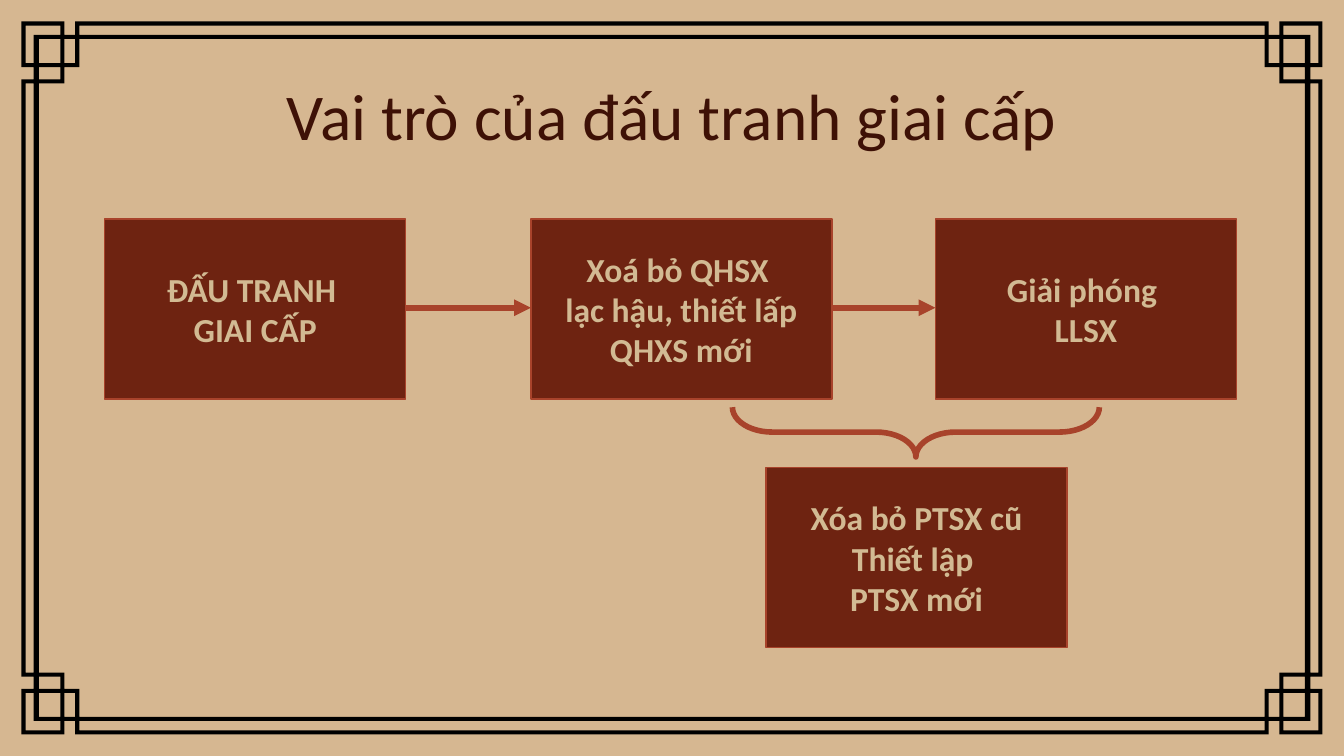
from lxml import etree
from pptx import Presentation
from pptx.dml.color import RGBColor
from pptx.enum import shapes, text
from pptx.oxml import ns
from pptx.util import Inches, Pt

TITLE = "Vai trò của đấu tranh giai cấp"
BOXES = [
    (0.78, 1.63, ["ĐẤU TRANH ", "GIAI CẤP"]),
    (3.95, 1.63, ["Xoá bỏ QHSX ", "lạc hậu, thiết lấp QHXS mới"]),
    (6.96, 1.63, ["Giải phóng ", "LLSX"]),
    (5.7, 3.48, ["Xóa bỏ PTSX cũ", "Thiết lập ", "PTSX mới"]),
]
LINKS = [(0, 1), (1, 2)]
BOX_W, BOX_H = 2.24, 1.34
LINK_Y = 2.29
WIDE = 10
HIGH = WIDE * 9 / 16

THEME = {
    "font": "Calibri", "title": 35, "body": 18,
    "back": "D6B791", "frame": "000000", "head": "3E1106",
    "box": "6E2311", "line": "A8432B", "label": "D2BA93",
    "thin": 0.75, "thick": 3,
}

OUTER = [(0.56, 0.16), (0.56, 0.26), (0.48, 0.26), (0.48, 0.16), (0.16, 0.16),
         (0.16, 0.5), (0.25, 0.5), (0.25, 0.59), (0.16, 0.59)]
INNER = [(0.59, 0.29), (0.59, 0.5), (0.48, 0.5), (0.48, 0.62), (0.29, 0.62)]
ELBOW = [(0.45, 0.19), (0.45, 0.26), (0.25, 0.26),
         (0.25, 0.47), (0.19, 0.47), (0.19, 0.19)]
CELLS = [(0.29, 0.29, 0.45, 0.47), (0.48, 0.29, 0.56, 0.47),
         (0.29, 0.5, 0.45, 0.59)]
TOP = (0.59, 0.19, WIDE - 0.59, 0.26)
LEFT = (0.19, 0.62, 0.25, HIGH - 0.62)


def color(key):
    return RGBColor.from_string(THEME[key])


def flip_x(path):
    return [(WIDE - x, y) for x, y in path]


def flip_y(path):
    return [(x, HIGH - y) for x, y in path]


def rect(x1, y1, x2, y2):
    return [(x1, y1), (x2, y1), (x2, y2), (x1, y2)]


def ring(path):
    half = path + flip_y(path)[::-1]
    return half + flip_x(half)[::-1]


def outlines():
    paths = [ring(OUTER), ring(INNER)]
    for path in [ELBOW] + [rect(*cell) for cell in CELLS]:
        pair = [path, flip_x(path)]
        paths += pair + [flip_y(p) for p in pair]
    top, left = rect(*TOP), rect(*LEFT)
    return paths + [top, flip_y(top), left, flip_x(left)]


def add_frame(slide):
    paths = [[(Inches(x), Inches(y)) for x, y in p] for p in outlines()]
    pen = slide.shapes.build_freeform(*paths[0][0])
    for path in paths:
        if path is not paths[0]:
            pen.move_to(*path[0])
        pen.add_line_segments(path[1:], close=True)
    frame = pen.convert_to_shape()
    frame.shadow.inherit = False
    frame.fill.solid()
    frame.fill.fore_color.rgb = color("frame")
    frame.line.fill.background()


def write(shape, lines, size, tint, bold=False, pad=0.05):
    frame = shape.text_frame
    frame.word_wrap = True
    frame.vertical_anchor = text.MSO_ANCHOR.MIDDLE
    frame.margin_left = frame.margin_right = Inches(0.1)
    frame.margin_top = frame.margin_bottom = Inches(pad)
    for i, line in enumerate(lines):
        para = frame.add_paragraph() if i else frame.paragraphs[0]
        para.alignment = text.PP_ALIGN.CENTER
        run = para.add_run()
        run.text = line
        run.font.name = THEME["font"]
        run.font.size = Pt(THEME[size])
        run.font.bold = bold
        run.font.color.rgb = color(tint)


def stroke(shape, width):
    shape.line.color.rgb = color("line")
    shape.line.width = Pt(THEME[width])


def add_box(slide, x, y, lines):
    box = slide.shapes.add_shape(
        shapes.MSO_SHAPE.RECTANGLE, Inches(x), Inches(y), Inches(BOX_W), Inches(BOX_H))
    box.shadow.inherit = False
    box.fill.solid()
    box.fill.fore_color.rgb = color("box")
    stroke(box, "thin")
    write(box, lines, "body", "label", bold=True)


def add_link(slide, start, end):
    link = slide.shapes.add_connector(
        shapes.MSO_CONNECTOR.STRAIGHT, Inches(BOXES[start][0] + BOX_W),
        Inches(LINK_Y), Inches(BOXES[end][0]), Inches(LINK_Y))
    stroke(link, "thick")
    line = link._element.spPr.find(ns.qn("a:ln"))
    etree.SubElement(line, ns.qn("a:tailEnd"), type="triangle")
    etree.SubElement(link._element.spPr, ns.qn("a:effectLst"))


def add_brace(slide):
    brace = slide.shapes.add_shape(
        shapes.MSO_SHAPE.LEFT_BRACE, Inches(6.63), Inches(1.85), Inches(0.37), Inches(2.73))
    brace.shadow.inherit = False
    brace.rotation = 270
    brace.adjustments[0] = 0.8
    brace.adjustments[1] = 0.5
    brace.fill.background()
    stroke(brace, "thick")


def main():
    deck = Presentation()
    deck.slide_width, deck.slide_height = Inches(WIDE), Inches(HIGH)
    slide = deck.slides.add_slide(deck.slide_layouts[6])
    slide.background.fill.solid()
    slide.background.fill.fore_color.rgb = color("back")
    add_frame(slide)
    title = slide.shapes.add_textbox(Inches(0.78), Inches(0.59), Inches(8.44), Inches(0.52))
    write(title, [TITLE], "title", "head", pad=0.1)
    for box in BOXES:
        add_box(slide, *box)
    for link in LINKS:
        add_link(slide, *link)
    add_brace(slide)
    deck.save("out.pptx")


if __name__ == "__main__":
    main()
